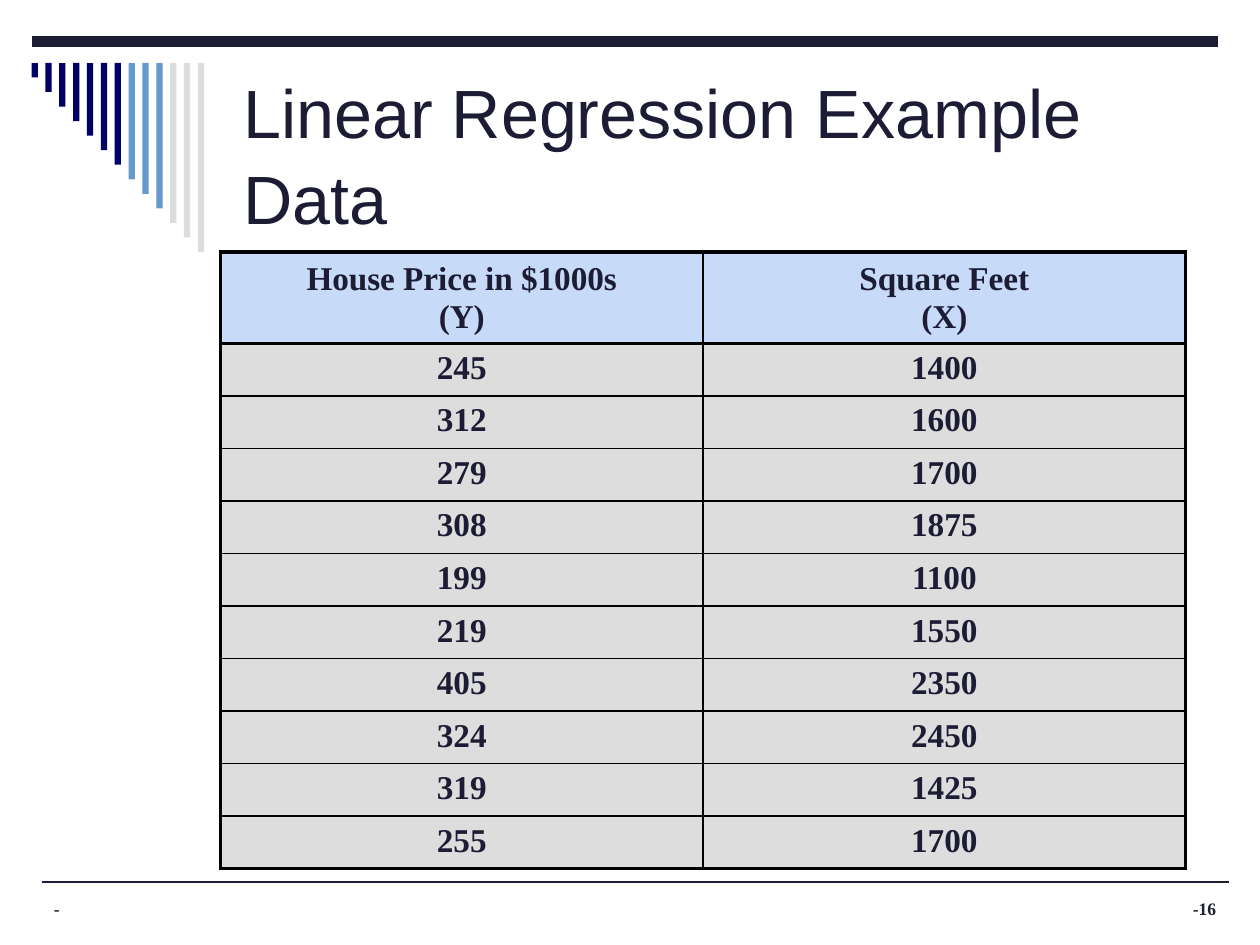
from lxml import etree
from pptx import Presentation
from pptx.dml.color import RGBColor
from pptx.enum.shapes import MSO_CONNECTOR as CONN, MSO_SHAPE as SHAPE
from pptx.enum.text import MSO_ANCHOR as ANCHOR, MSO_AUTO_SIZE as AUTO, PP_ALIGN as ALIGN
from pptx.oxml.ns import qn
from pptx.util import Inches, Pt

INK = "1C1C34"
GREY = "DDDDDD"
SERIF = "Times New Roman"
BAR_COLORS = ["000066"] * 7 + ["6699CC"] * 3 + [GREY] * 3
HEADERS = ["House Price in $1000s\n(Y)", "Square Feet\n(X)"]
HOUSES = [(245, 1400), (312, 1600), (279, 1700), (308, 1875), (199, 1100),
          (219, 1550), (405, 2350), (324, 2450), (319, 1425), (255, 1700)]


def rgb(color):
    return RGBColor.from_string(color)


def style_text(tf, name, size, bold=False, align=ALIGN.LEFT):
    for p in tf.paragraphs:
        p.alignment = align
        for r in p.runs:
            r.font.name = name
            r.font.size = Pt(size)
            r.font.bold = bold
            r.font.color.rgb = rgb(INK)


def add_rule(s, left, right, y, width):
    line = s.shapes.add_connector(CONN.STRAIGHT, Inches(left), Inches(y), Inches(right), Inches(y))
    line.line.color.rgb = rgb(INK)
    line.line.width = Pt(width)
    etree.SubElement(line._element.spPr, qn("a:effectLst"))


def add_bars(s):
    group = s.shapes.add_group_shape()
    for i, color in enumerate(BAR_COLORS):
        height = 1.5 * (i + 1) / len(BAR_COLORS)
        bar = group.shapes.add_shape(SHAPE.RECTANGLE, Inches(0.25 + 0.11 * i), Inches(0.5),
                                     Inches(0.05), Inches(height))
        bar.shadow.inherit = False
        bar.fill.solid()
        bar.fill.fore_color.rgb = rgb(color)
        bar.line.fill.background()


def add_title(s, text):
    sp = s.shapes.title
    sp.left, sp.top, sp.width, sp.height = Inches(1.83), Inches(0.5), Inches(7.67), Inches(1.42)
    tf = sp.text_frame
    tf.text = text
    tf.word_wrap = True
    tf.auto_size = AUTO.NONE
    tf.vertical_anchor = ANCHOR.MIDDLE
    tf.paragraphs[0].line_spacing = 1.05
    style_text(tf, "Arial", 39)


def add_footer(s, text, left, width, align):
    tf = s.shapes.add_textbox(Inches(left), Inches(7.08), Inches(width), Inches(0.25)).text_frame
    tf.word_wrap = True
    tf.text = text
    style_text(tf, SERIF, 10, True, align)


def set_borders(cell, widths):
    tcPr = cell._tc.get_or_add_tcPr()
    for i, (side, width) in enumerate(widths.items()):
        ln = etree.Element(qn(f"a:ln{side}"), w=str(Pt(width)))
        fill = etree.SubElement(ln, qn("a:solidFill"))
        etree.SubElement(fill, qn("a:srgbClr"), val="000000")
        tcPr.insert(i, ln)


def add_house_table(s):
    rows = [HEADERS] + HOUSES
    last = len(rows) - 1
    table = s.shapes.add_table(len(rows), 2, Inches(1.75), Inches(2),
                               Inches(7.66), Inches(4.57)).table
    for col in table.columns:
        col.width = Inches(3.83)
    for i, values in enumerate(rows):
        table.rows[i].height = Inches(0.39 if i else 0.67)
        for j, value in enumerate(values):
            cell = table.cell(i, j)
            cell.fill.solid()
            cell.fill.fore_color.rgb = rgb(GREY if i else "C7DAF7")
            cell.vertical_anchor = ANCHOR.TOP if i else ANCHOR.MIDDLE
            tf = cell.text_frame
            tf.text = str(value)
            style_text(tf, SERIF, 19, True, ALIGN.CENTER)
            for p in tf.paragraphs[1:]:
                p.line_spacing = 0.8
                p.space_before = Pt(4)
            set_borders(cell, {"L": 1 if j else 2.25, "R": 2.25 if j else 1,
                               "T": 2.25 if i <= 1 else 1, "B": 2.25 if i in (0, last) else 1})


def main():
    prs = Presentation()
    prs.slide_width, prs.slide_height = Inches(10), Inches(7.5)
    s = prs.slides.add_slide(prs.slide_layouts[5])
    add_rule(s, 0.33, 9.75, 7, 1)
    add_rule(s, 0.25, 9.67, 0.33, 6)
    add_bars(s)
    add_footer(s, "-", 0.33, 6.25, ALIGN.LEFT)
    add_footer(s, "-16", 7.42, 2.33, ALIGN.RIGHT)
    add_title(s, "Linear Regression Example\vData")
    add_house_table(s)
    prs.save("out.pptx")


if __name__ == "__main__":
    main()
